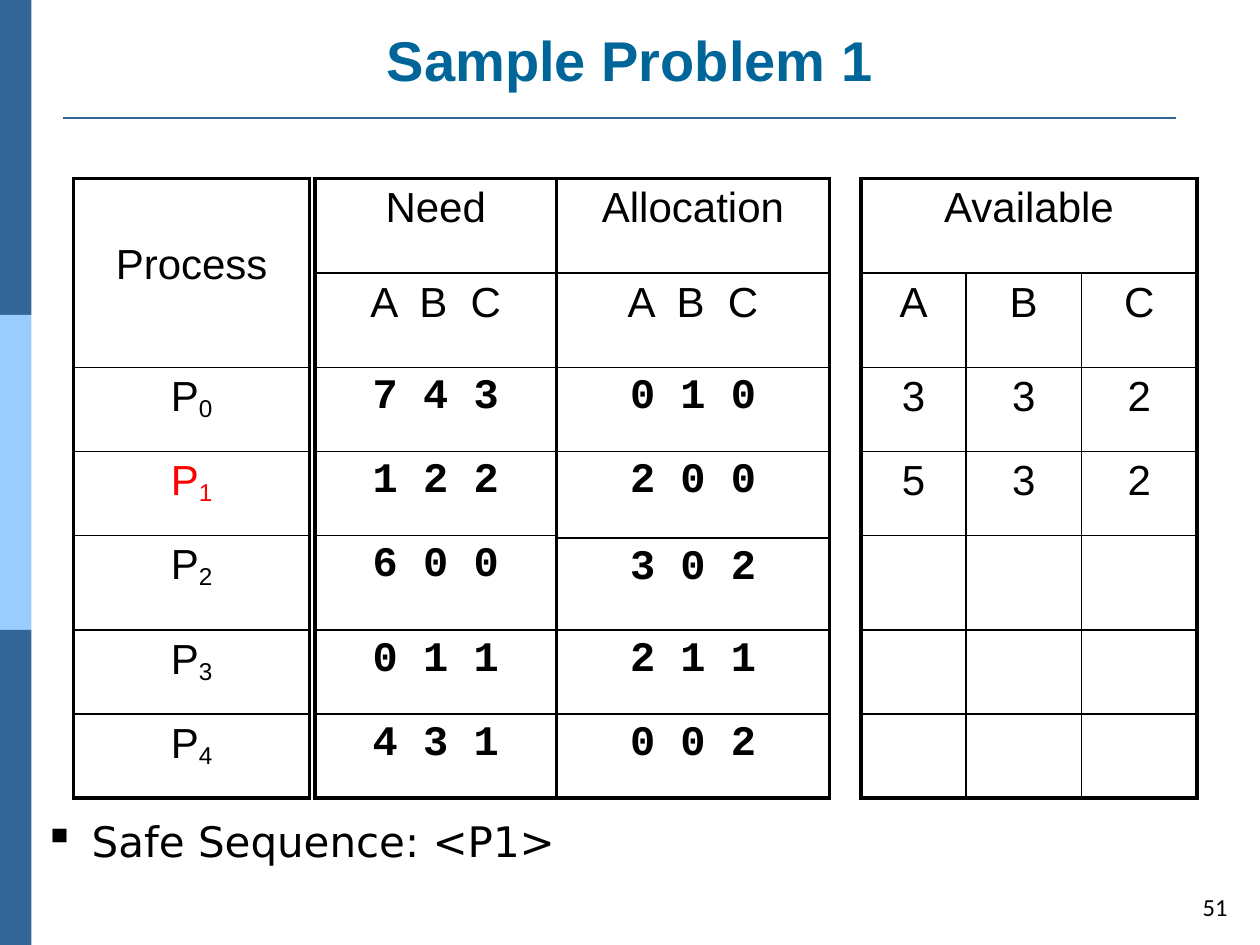
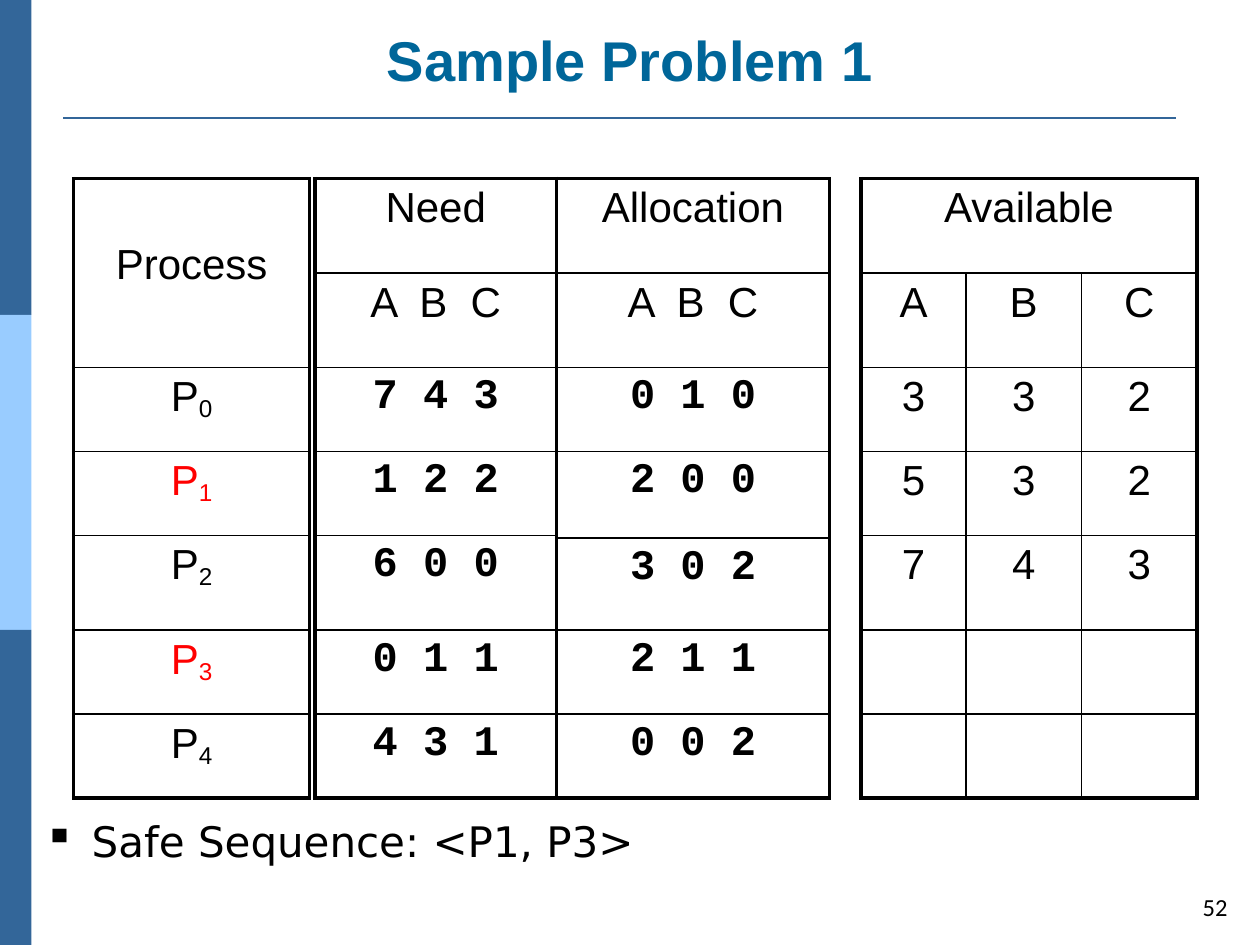
from lxml.etree import SubElement
from pptx import Presentation
from pptx.dml.color import RGBColor
from pptx.enum.shapes import MSO_CONNECTOR, MSO_SHAPE
from pptx.enum.text import MSO_ANCHOR, PP_ALIGN
from pptx.oxml.ns import qn
from pptx.util import Inches, Pt

# Shared look: every length is counted in grid units of 1/12 inch
UNIT = Inches(1) // 12
BAND_COLORS = ["336699", "99CCFF", "336699"]
RULE_COLOR, TITLE_COLOR = "336699", "006699"
BLACK, RED = "000000", "FF0000"
THICK, THIN = Pt(2.25), Pt(1)

# Tables: left edge, column widths, row heights, all in grid units
TABLE_TOP = 17
ROWS = [9, 9, 8, 8, 9, 8, 8]
LAYOUTS = {
    "Process": (7, [22.5], [18] + ROWS[2:]),
    "Available": (82, [10, 11, 11], ROWS),
    "Allocation": (53, [26], [9, 9, 8, 8.25, 8.75, 8, 8]),
    "Need": (30, [23], ROWS),
}
NEED = ["7 4 3", "1 2 2", "6 0 0", "0 1 1", "4 3 1"]
ALLOCATION = ["0 1 0", "2 0 0", "3 0 2", "2 1 1", "0 0 2"]
PROCESSES = ["P0", "P1", "P2", "P3", "P4"]

# Each step: slide number, processes finished so far, available resources
STEPS = [
    ("51", ["P1"], ["332", "532"]),
    ("52", ["P1", "P3"], ["332", "532", "743"]),
]


def rgb(color):
    return RGBColor.from_string(color)


def style(paragraph, size, name, color=BLACK, bold=False, align=PP_ALIGN.CENTER):
    paragraph.alignment = align
    font = paragraph.font
    font.size, font.name, font.bold = Pt(size), name, bold
    font.color.rgb = rgb(color)


presentation = Presentation()
presentation.slide_width, presentation.slide_height = Inches(10), Inches(7.5)
width, height = presentation.slide_width, presentation.slide_height

for number, finished, available in STEPS:
    slide = presentation.slides.add_slide(presentation.slide_layouts[5])

    # Side bands
    band_height = height // len(BAND_COLORS)
    for index, color in enumerate(BAND_COLORS):
        band = slide.shapes.add_shape(
            MSO_SHAPE.RECTANGLE, 0, index * band_height, 3 * UNIT, band_height)
        band.shadow.inherit = False
        band.fill.solid()
        band.fill.fore_color.rgb = rgb(color)
        band.line.fill.background()

    # Title and the rule below it
    title = slide.shapes.title
    title.left, title.top = 4 * UNIT, Inches(0.04)
    title.width, title.height = 112 * UNIT, 9 * UNIT
    title.text_frame.text = "Sample Problem 1"
    title.text_frame.vertical_anchor = MSO_ANCHOR.BOTTOM
    style(title.text_frame.paragraphs[0], 32, "Arial", TITLE_COLOR, True)
    rule = slide.shapes.add_connector(
        MSO_CONNECTOR.STRAIGHT, 6 * UNIT, height // 8, 112 * UNIT, height // 8)
    rule.line.color.rgb = rgb(RULE_COLOR)
    rule.line.width = Pt(1.5)
    SubElement(rule._element.spPr, qn("a:effectLst"))

    # Safe sequence
    box = slide.shapes.add_textbox(3 * UNIT, 78 * UNIT, 115 * UNIT, 10 * UNIT)
    box.text_frame.word_wrap = True
    paragraph = box.text_frame.paragraphs[0]
    paragraph.text = f"Safe Sequence: <{', '.join(finished)}>"
    paragraph.line_spacing = 0.8
    properties = paragraph._p.get_or_add_pPr()
    properties.set("marL", str(Inches(0.38)))
    properties.set("indent", str(-Inches(0.38)))
    SubElement(properties, qn("a:buChar"), char="▪")
    style(paragraph, 24, "DejaVu Sans", align=PP_ALIGN.LEFT)

    # Tables
    contents = {
        "Process": [["Process"]] + [[process] for process in PROCESSES],
        "Available": [["Available"], list("ABC")] + [list(row) for row in available],
        "Allocation": [["Allocation"], ["A B C"]] + [[row] for row in ALLOCATION],
        "Need": [["Need"], ["A B C"]] + [[row] for row in NEED],
    }
    for heading, (left, columns, rows) in LAYOUTS.items():
        table = slide.shapes.add_table(
            len(rows), len(columns), left * UNIT, TABLE_TOP * UNIT,
            int(sum(columns) * UNIT), int(sum(rows) * UNIT)).table
        table.first_row = table.horz_banding = False
        for column, units in zip(table.columns, columns):
            column.width = int(units * UNIT)
        for row, units in zip(table.rows, rows):
            row.height = int(units * UNIT)
        if len(columns) > 1:
            table.cell(0, 0).merge(table.cell(0, len(columns) - 1))

        # Thick outer frame, thin inner lines, no fill
        for row in range(len(rows)):
            for column in range(len(columns)):
                cell = table.cell(row, column)
                outer = {
                    "L": column == 0,
                    "R": column == len(columns) - 1 or cell.is_merge_origin,
                    "T": row == 0,
                    "B": row == len(rows) - 1,
                }
                cell_properties = cell._tc.get_or_add_tcPr()
                for side, is_outer in outer.items():
                    line = SubElement(cell_properties, qn(f"a:ln{side}"),
                                      w=str(THICK if is_outer else THIN))
                    fill = SubElement(line, qn("a:solidFill"))
                    SubElement(fill, qn("a:srgbClr"), val=BLACK)
                cell.fill.background()

        # Cell text
        for row, texts in enumerate(contents[heading]):
            for column, text in enumerate(texts):
                cell = table.cell(row, column)
                paragraph = cell.text_frame.paragraphs[0]
                is_vector = text in NEED + ALLOCATION
                style(paragraph, 24, "Courier New" if is_vector else "Arial",
                      RED if text in finished else BLACK, is_vector)
                if text in PROCESSES:
                    paragraph.add_run().text = text[0]
                    subscript = paragraph.add_run()
                    subscript.text = text[1]
                    subscript._r.get_or_add_rPr().set("baseline", "-14000")
                else:
                    run = paragraph.add_run()
                    run.text = text
                    if text == "A B C":
                        run._r.get_or_add_rPr().set("spc", "333")
                if text == "Process":
                    cell.margin_top = Inches(0.5)

    # Slide number
    box = slide.shapes.add_textbox(Inches(9.39), Inches(6.99), Inches(0.45), Inches(0.41))
    box.text_frame.word_wrap = True
    box.text_frame.vertical_anchor = MSO_ANCHOR.MIDDLE
    box.text_frame.text = number
    style(box.text_frame.paragraphs[0], 14, "Calibri", align=PP_ALIGN.RIGHT)

presentation.save("out.pptx")
